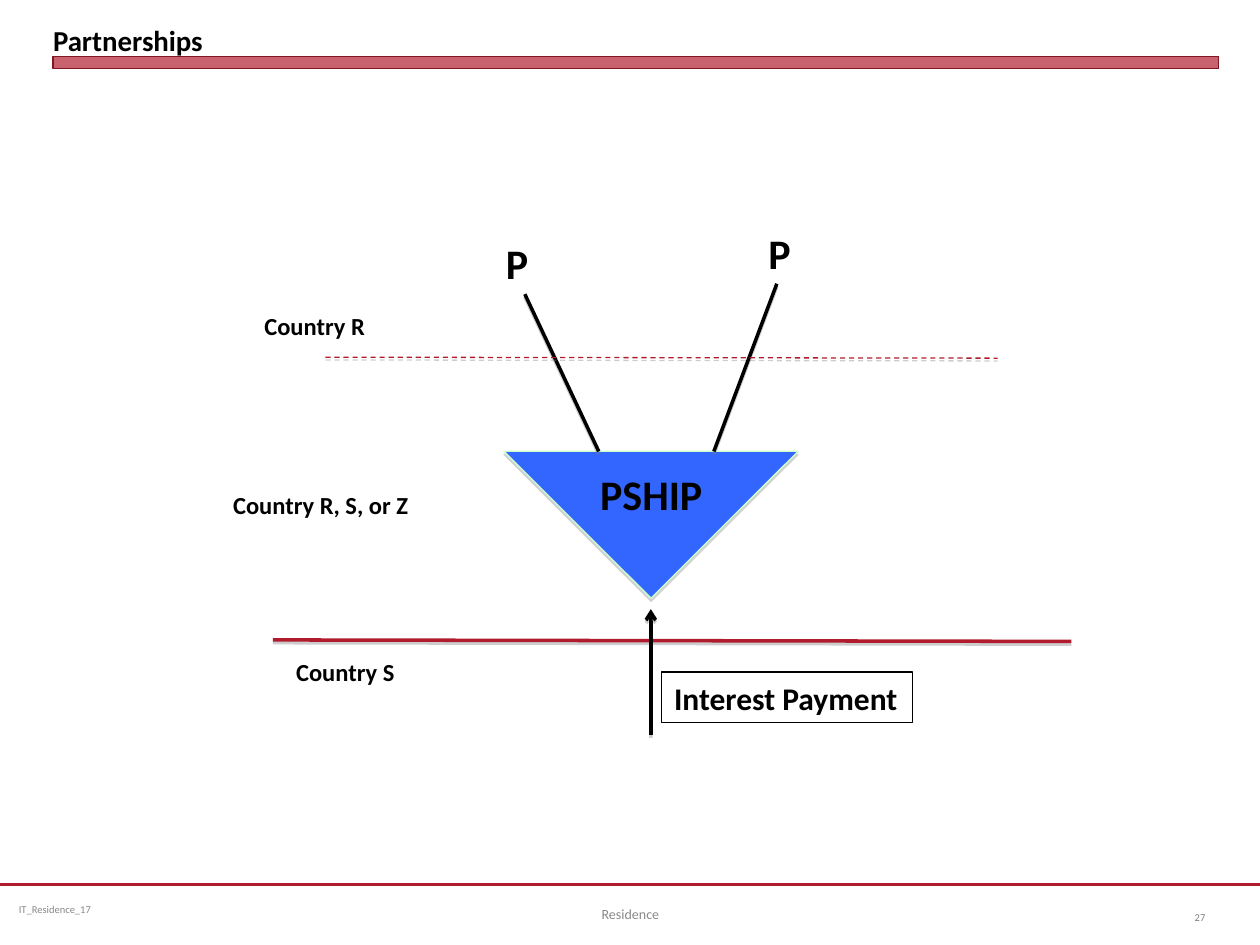
from lxml.etree import SubElement as Sub
from pptx import Presentation
from pptx.dml.color import RGBColor as RGB
from pptx.enum.dml import MSO_LINE as Dash
from pptx.enum.shapes import MSO_CONNECTOR as Conn, MSO_SHAPE as Kind
from pptx.enum.text import MSO_ANCHOR as Anchor, MSO_AUTO_SIZE as Auto, PP_ALIGN as Align
from pptx.oxml.ns import qn
from pptx.util import Cm, Pt

HUES = {"red": "B01C2E", "edge": "821522", "blue": "3366FF", "mint": "CCFFCC",
        "black": "000000", "gray": "898989", "page": "808080"}
HUE = {name: RGB.from_string(code) for name, code in HUES.items()}


def write(shape, text, size=14, hue="black", bold=True, align=Align.LEFT,
          anchor=Anchor.TOP, wrap=True, grow=False, pad=(0.25, 0.13)):
    frame = shape.text_frame
    frame.word_wrap = wrap
    frame.auto_size = Auto.SHAPE_TO_FIT_TEXT if grow else Auto.NONE
    frame.vertical_anchor = anchor
    frame.margin_left = frame.margin_right = Cm(pad[0])
    frame.margin_top = frame.margin_bottom = Cm(pad[1])
    para = frame.paragraphs[0]
    para.alignment = align
    run = para.add_run()
    run.text = text
    font = run.font
    font.name, font.size, font.bold = "Calibri", Pt(size), bold
    font.color.rgb = HUE[hue]


def shade(shape, alpha=0, drop=0):
    """Replace the theme shadow by a straight drop, or by none."""
    effect = Sub(shape._element.spPr, qn("a:effectLst"))
    if drop:
        cast = Sub(effect, qn("a:outerShdw"), blurRad="0", dist=str(Pt(drop)),
                   dir="5400000", rotWithShape="0")
        tone = Sub(cast, qn("a:srgbClr"), val=HUES["page"])
        Sub(tone, qn("a:alpha"), val=str(alpha * 1000))


deck = Presentation()
deck.slide_width, deck.slide_height = Cm(25.4), Cm(19.05)
slide = deck.slides.add_slide(deck.slide_layouts[5])
shapes = slide.shapes

# Title and the bar below it
title = shapes.title
title.left, title.top, title.width, title.height = Cm(1.07), Cm(0.13), Cm(23.5), Cm(1.02)
write(title, "Partnerships", size=16.5, anchor=Anchor.BOTTOM, pad=(0, 0))

bar = shapes.add_shape(Kind.RECTANGLE, Cm(1.07), Cm(1.14), Cm(23.5), Cm(0.25))
bar.fill.solid()
bar.fill.fore_color.rgb = HUE["red"]
tint = bar._element.spPr.find(qn("a:solidFill")).find(qn("a:srgbClr"))
Sub(tint, qn("a:alpha"), val="69000")
bar.line.color.rgb = HUE["edge"]
bar.line.width = Pt(0)
shade(bar)

# Partnership triangle, point down
pship = shapes.add_shape(Kind.ISOSCELES_TRIANGLE, Cm(10.16), Cm(9.1), Cm(5.93), Cm(2.96))
pship._element.spPr.find(qn("a:xfrm")).set("flipV", "1")
pship.fill.solid()
pship.fill.fore_color.rgb = HUE["blue"]
pship.line.color.rgb = HUE["mint"]
pship.line.width = Pt(0.75)
shade(pship, 35, 1.8)

# Lines: ends, colour, width, shadow drop, dashed, arrow
lines = [
    ((0, 17.83, 25.4, 17.83), "red", 1.25, 0, False, False),
    ((5.5, 12.9, 21.6, 12.93), "red", 2, 1.6, False, False),
    ((13.12, 14.82, 13.12, 12.28), "black", 2, 1.6, False, True),
    ((12.07, 9.1, 10.58, 5.93), "black", 2, 1.6, False, False),
    ((14.39, 9.1, 15.66, 5.72), "black", 2, 1.6, False, False),
    ((6.56, 7.2, 20.11, 7.22), "red", 0.75, 1.6, True, False),
]
for ends, hue, width, drop, dashed, arrow in lines:
    link = shapes.add_connector(Conn.STRAIGHT, *[Cm(n) for n in ends])
    link.line.color.rgb = HUE[hue]
    link.line.width = Pt(width)
    if dashed:
        link.line.dash_style = Dash.DASH
    if arrow:
        Sub(link._element.spPr.find(qn("a:ln")), qn("a:tailEnd"), type="arrow")
    shade(link, 38, drop)

# Boxed payment label
pay = shapes.add_shape(Kind.RECTANGLE, Cm(13.34), Cm(13.55), Cm(5.05), Cm(1.02))
pay.fill.background()
pay.line.color.rgb = HUE["black"]
pay.line.width = Pt(0.75)
shade(pay)
write(pay, "Interest Payment", size=18, wrap=False, grow=True)

# Countries, partners and footer
land = dict(grow=True)
node = dict(size=24, wrap=False, grow=True)
foot = dict(bold=False, anchor=Anchor.MIDDLE)
labels = [
    ("Country R", (5.08, 6.14, 4.66, 0.86), land),
    ("Country R, S, or Z", (4.45, 9.74, 4.66, 0.86), land),
    ("Country S", (5.72, 13.12, 4.66, 0.86), land),
    ("P", (9.95, 4.66, 0.96, 1.28), node),
    ("P", (15.24, 4.45, 0.96, 1.28), node),
    ("PSHIP", (11.85, 9.31, 2.58, 1.28), node),
    ("IT_Residence_17", (0.2, 17.83, 6.55, 1.02),
     dict(foot, size=6, hue="gray", pad=(0.18, 0.1))),
    ("Residence", (8.69, 17.91, 8.04, 1.02),
     dict(foot, size=8, hue="gray", align=Align.CENTER)),
    ("27", (23.28, 17.99, 1.27, 1.02),
     dict(foot, size=6, hue="page", align=Align.RIGHT)),
]
for text, place, form in labels:
    write(shapes.add_textbox(*[Cm(n) for n in place]), text, **form)

deck.save("out.pptx")
